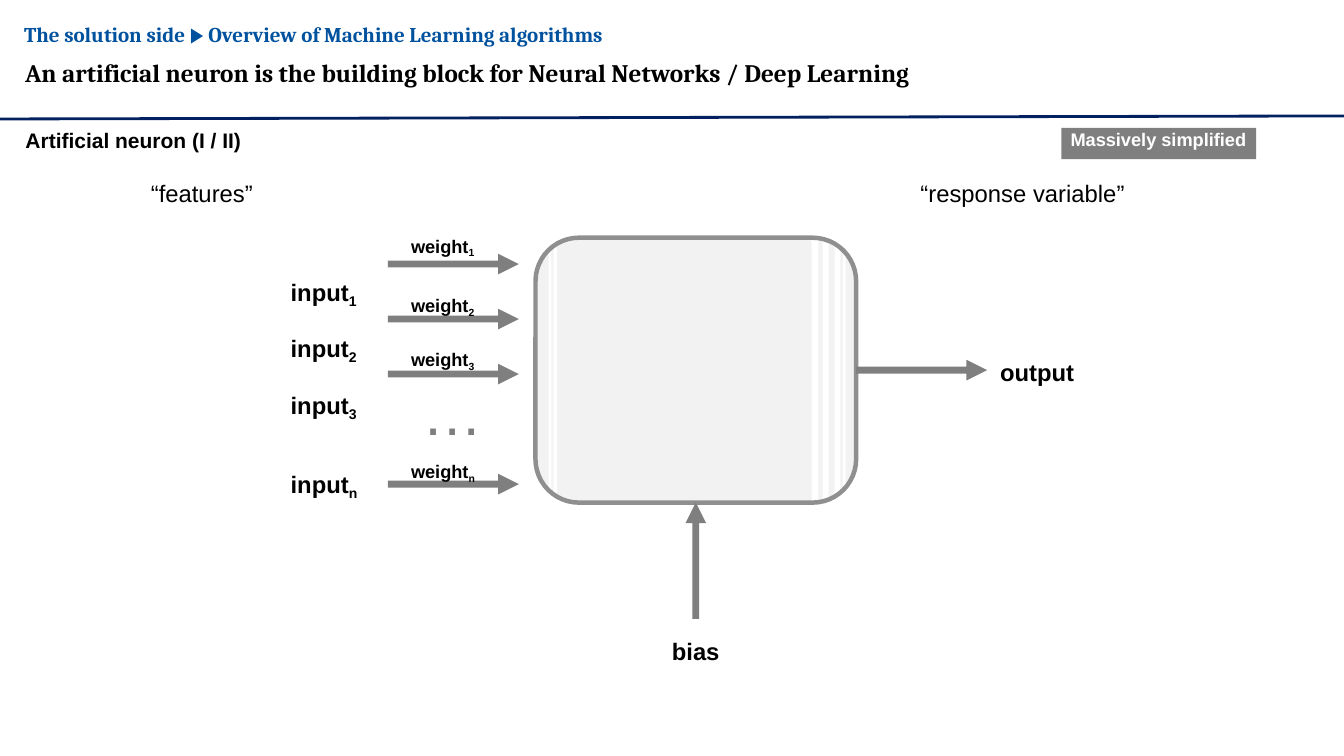
from lxml.etree import SubElement
from pptx import Presentation
from pptx.dml.color import RGBColor
from pptx.enum.shapes import MSO_CONNECTOR, MSO_SHAPE
from pptx.enum.text import MSO_ANCHOR, PP_ALIGN
from pptx.oxml.ns import qn
from pptx.util import Pt

BLACK, WHITE, GREY = "000000", "FFFFFF", "7F7F7F"
NAVY, BLUE = "002060", "00529F"
BODY_FILL, BODY_LINE = "F2F2F2", "8F8F8F"

# text, left, top, width, height, size, font, colour, bold
LABELS = [
    ("An artificial neuron is the building block for Neural Networks / Deep Learning",
     18, 41, 905, 23, 18, "Cambria", BLACK, True),
    ("Artificial neuron (I / II)", 18.2, 91.4, 172, 18, 15, "Arial", BLACK, True),
    ("“features”", 107.8, 127.4, 150, 21, 17, "Arial", BLACK, False),
    ("“response variable”", 657.5, 127.4, 150, 21, 17, "Arial", BLACK, False),
    ("output", 714.4, 255.6, 56, 20, 17, "Arial", BLACK, True),
    ("bias", 479.9, 455, 37, 20, 17, "Arial", BLACK, True),
    ("…", 301.7, 268.2, 50, 50, 43, "Arial", "7E7E7E", False),
]
BREADCRUMB = [("The solution side ", True), ("▶ ", False),
              ("Overview of Machine Learning algorithms", True)]
TAG = "Massively simplified"

# subscript, arrow row, top of weight label, top of input label
INPUTS = [("1", 0, 167.8, 198.4), ("2", 1, 210.2, 238.4),
          ("3", 2, 249.1, 279.2), ("n", 4, 329, 335.5)]
FIRST_ARROW, ARROW_STEP = 188.6, 39.3
ARROW_LEFT, ARROW_LENGTH = 277, 93.6
ARROW_HEAD, ARROW_SHAFT = 14.7, 4.9

BODY = (382.5, 169.8, 229, 189.2)
BODY_RADIUS = 31
# left, width of the light bands in the cell body
STRIPES = [(391.8, 2), (395.3, 2.6), (579.8, 4.8), (587.7, 4.2), (596.2, 4.2), (602, 2)]


def colour(value):
    return RGBColor.from_string(value)


def set_up_frame(shape, left_margin=0):
    frame = shape.text_frame
    frame.word_wrap = True
    frame.margin_top = frame.margin_right = frame.margin_bottom = 0
    frame.margin_left = Pt(left_margin)
    frame.vertical_anchor = MSO_ANCHOR.TOP
    return frame.paragraphs[0]


def style(font, size, name, value, bold):
    font.size, font.name, font.bold = Pt(size), name, bold
    font.color.rgb = colour(value)


def add_label(slide, text, left, top, width, height, size, name, value, bold):
    box = slide.shapes.add_textbox(Pt(left), Pt(top), Pt(width), Pt(height))
    paragraph = set_up_frame(box)
    style(paragraph.font, size, name, value, bold)
    if text:
        paragraph.add_run().text = text
    return paragraph


def add_subscript(paragraph, text, size, shift):
    """Append lowered text; shift is in thousandths of a percent."""
    run = paragraph.add_run()
    run.text = text
    run.font.size = Pt(size)
    run.font._element.set("baseline", str(shift))


def add_box(slide, kind, left, top, width, height, fill=None, line=None):
    shape = slide.shapes.add_shape(kind, Pt(left), Pt(top), Pt(width), Pt(height))
    shape.shadow.inherit = False
    if fill:
        shape.fill.solid()
        shape.fill.fore_color.rgb = colour(fill)
    else:
        shape.fill.background()
    if line:
        shape.line.color.rgb = colour(line)
        shape.line.width = Pt(3.2)
    else:
        shape.line.fill.background()
    if kind == MSO_SHAPE.ROUNDED_RECTANGLE:
        shape.adjustments[0] = BODY_RADIUS / min(width, height)
    return shape


def add_block_arrow(slide, kind, left, top, width, height):
    arrow = add_box(slide, kind, left, top, width, height, GREY)
    arrow.adjustments[0] = ARROW_SHAFT / ARROW_HEAD
    arrow.adjustments[1] = 1


def add_right_arrow(slide, left, y):
    add_block_arrow(slide, MSO_SHAPE.RIGHT_ARROW,
                    left, y - ARROW_HEAD / 2, ARROW_LENGTH, ARROW_HEAD)


def add_header(slide):
    divider = slide.shapes.add_connector(
        MSO_CONNECTOR.STRAIGHT, Pt(0), Pt(85), Pt(960), Pt(82.8))
    divider.line.color.rgb = colour(NAVY)
    divider.line.width = Pt(2)
    SubElement(divider._element.spPr, qn("a:effectLst"))

    paragraph = add_label(slide, "", 17.2, 15.1, 520, 18, 15, "Cambria", BLUE, True)
    for text, bold in BREADCRUMB:
        run = paragraph.add_run()
        run.text = text
        run.font.bold = bold
    tag = add_box(slide, MSO_SHAPE.RECTANGLE, 758.2, 91.4, 139, 22.3, GREY)
    paragraph = set_up_frame(tag, 6.5)
    paragraph.alignment = PP_ALIGN.LEFT
    style(paragraph.font, 13, "Arial", WHITE, True)
    paragraph.add_run().text = TAG


def add_neuron(slide):
    left, top, width, height = BODY
    add_box(slide, MSO_SHAPE.ROUNDED_RECTANGLE, *BODY, fill=BODY_FILL)
    for stripe_left, stripe_width in STRIPES:
        add_box(slide, MSO_SHAPE.RECTANGLE, stripe_left, top, stripe_width, height, WHITE)
    add_box(slide, MSO_SHAPE.ROUNDED_RECTANGLE, *BODY, line=BODY_LINE)

    add_right_arrow(slide, left + width, top + height / 2)
    add_block_arrow(slide, MSO_SHAPE.UP_ARROW, left + width / 2 - ARROW_HEAD / 2,
                    top + height, ARROW_HEAD, 83)


def add_inputs(slide):
    for subscript, row, weight_top, input_top in INPUTS:
        add_right_arrow(slide, ARROW_LEFT, FIRST_ARROW + row * ARROW_STEP)
        weight = add_label(slide, "weight", 293.6, weight_top, 60, 17, 13, "Arial", BLACK, True)
        add_subscript(weight, subscript, 12.8, -20000)
        name = add_label(slide, "input", 207.6, input_top, 60, 22, 17, "Arial", BLACK, True)
        add_subscript(name, subscript, 17.2, -19000)


def main():
    presentation = Presentation()
    presentation.slide_width, presentation.slide_height = Pt(960), Pt(540)
    slide = presentation.slides.add_slide(presentation.slide_layouts[6])
    add_header(slide)
    add_neuron(slide)
    add_inputs(slide)
    for label in LABELS:
        add_label(slide, *label)
    presentation.save("out.pptx")


if __name__ == "__main__":
    main()
